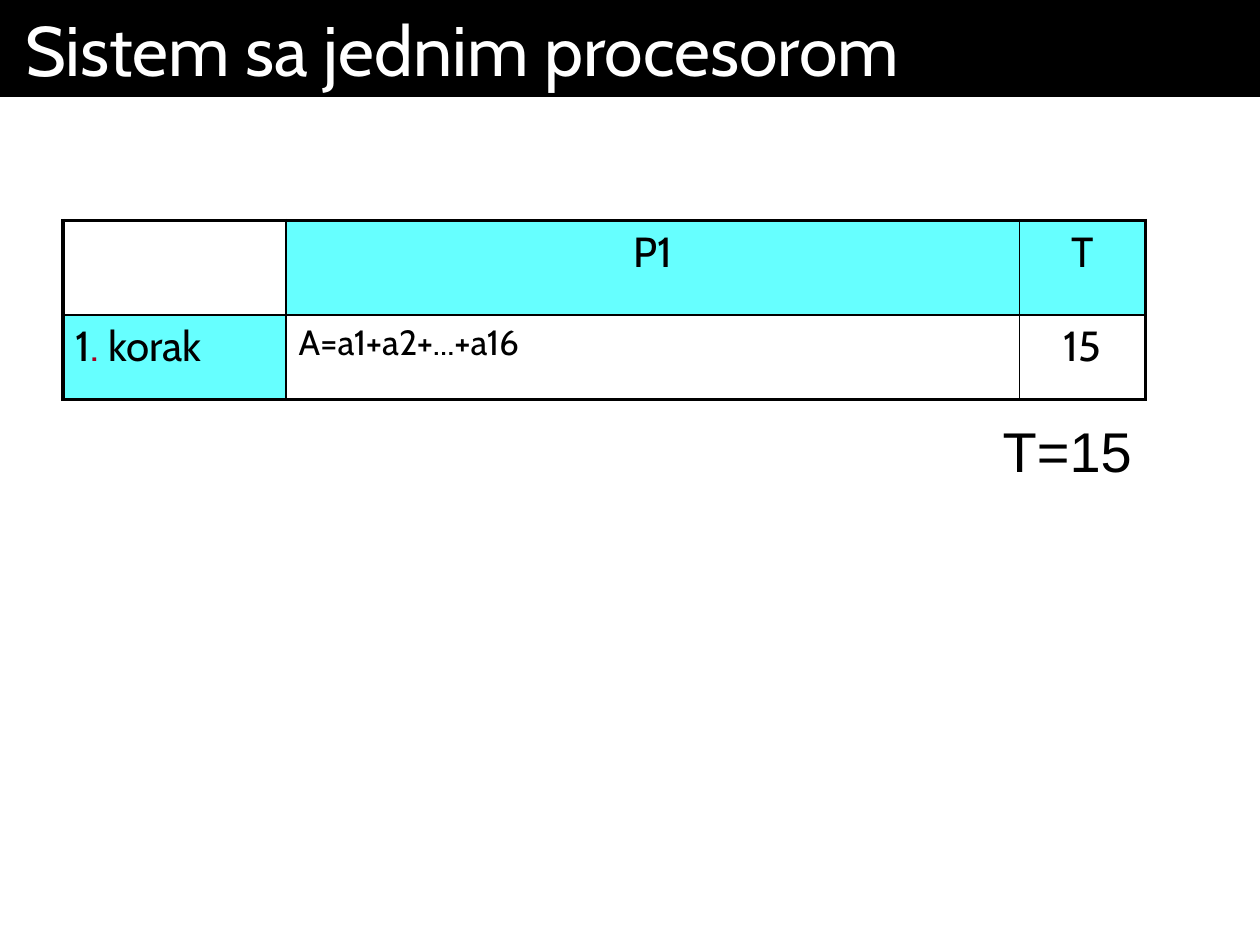
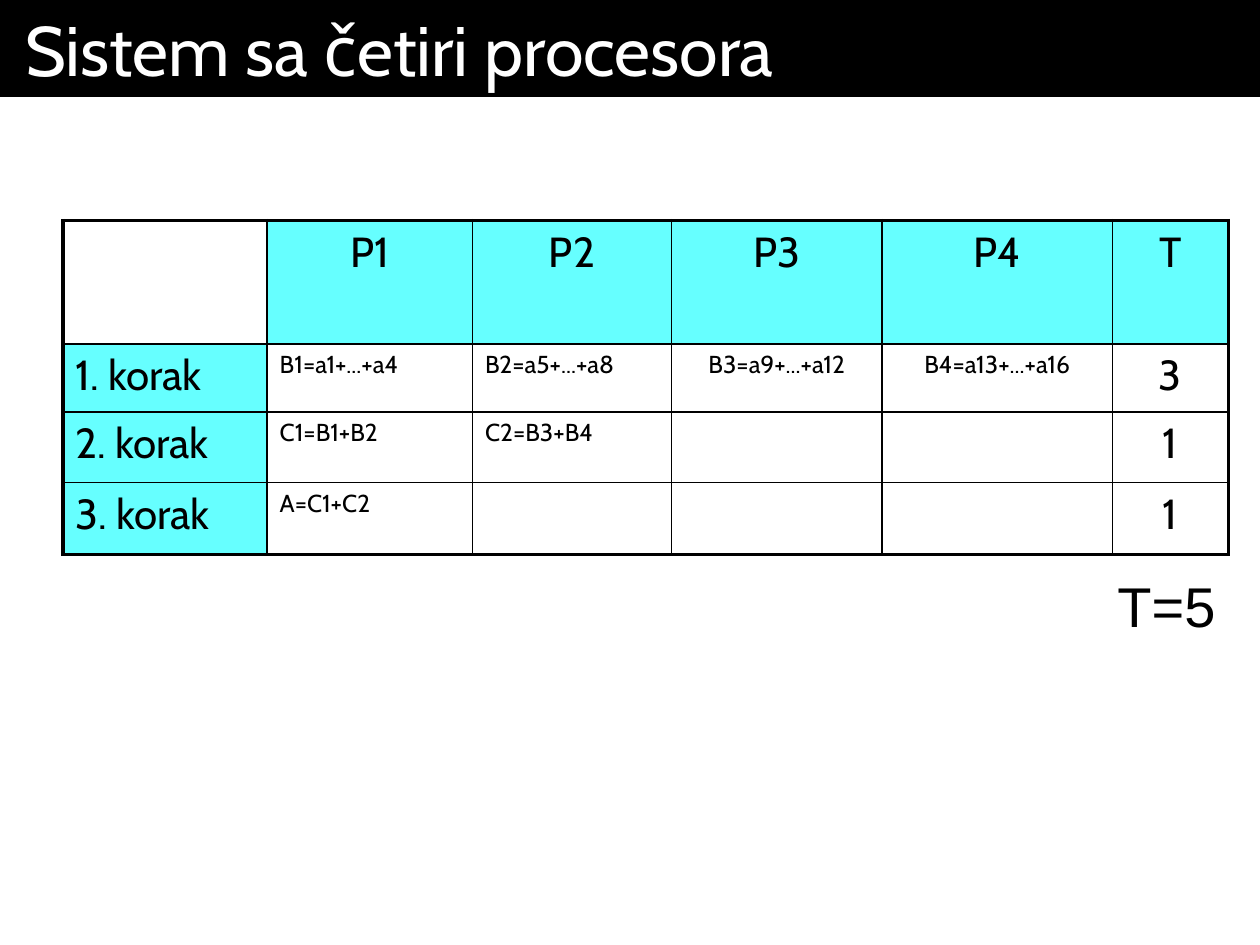
from lxml.etree import SubElement
from pptx import Presentation
from pptx.dml.color import RGBColor
from pptx.enum.text import MSO_ANCHOR, MSO_AUTO_SIZE, PP_ALIGN
from pptx.oxml.ns import qn
from pptx.util import Inches, Pt

UNIT = Inches(0.01)
WIDE, HIGH = 1000, 750
BLACK, WHITE, CYAN, RED = "000000", "FFFFFF", "66FFFF", "A50021"
TITLE = {"name": "Cabin", "size": Pt(40), "bold": False}
LABEL = {"name": "Cabin", "size": Pt(24), "bold": False}
TOTAL = {"name": "Arial", "size": Pt(32), "bold": False}
BAND = (0, 0, WIDE, 77)
LEFT, TOP = 50, 175
THICK, THIN = Pt(2.25), Pt(1)

SLIDES = [
    {
        "title": "Sistem sa jednim procesorom",
        "cols": [177, 582, 100],
        "rows": [75, 67],
        "mid": 2,
        "size": 20,
        "cells": [
            ["", "P1", "T"],
            [[("1", BLACK), (". ", RED), ("korak", BLACK)], "A=a1+a2+...+a16", "15"],
        ],
        "total": "T=15",
    },
    {
        "title": "Sistem sa četiri procesora",
        "cols": [162, 163, 158, 167, 183, 92],
        "rows": [98, 54, 56, 57],
        "mid": 3,
        "size": 14,
        "cells": [
            ["", "P1", "P2", "P3", "P4", "T"],
            ["1. korak", "B1=a1+...+a4", "B2=a5+...+a8", "B3=a9+...+a12", "B4=a13+...+a16", "3"],
            ["2. korak", "C1=B1+B2", "C2=B3+B4", "", "", "1"],
            ["3. korak", "A=C1+C2", "", "", "", "1"],
        ],
        "total": "T=5",
    },
]


def tint(code):
    """Turn a hex string into a colour."""
    return RGBColor.from_string(code)


def grid(box):
    """Turn a box in grid units into lengths."""
    return [UNIT * part for part in box]


def style(item, form):
    """Set each format value on an item."""
    for key, value in form.items():
        setattr(item, key, value)


def write(frame, runs, form, align=PP_ALIGN.LEFT):
    """Write coloured runs into the first paragraph of a frame."""
    para = frame.paragraphs[0]
    para.alignment = align
    for text, code in runs:
        run = para.add_run()
        run.text = text
        style(run.font, form)
        run.font.color.rgb = tint(code)


def edge(cell, sides):
    """Draw the borders of a cell, each with its own width."""
    props = cell._tc.get_or_add_tcPr()
    for name, width in sides.items():
        line = SubElement(props, qn(f"a:ln{name}"), w=str(width))
        fill = SubElement(line, qn("a:solidFill"))
        SubElement(fill, qn("a:srgbClr"), val=BLACK)


def add_title(slide, text, box):
    """Turn the title placeholder into a dark band."""
    band = slide.shapes.title
    style(band, dict(zip(("left", "top", "width", "height"), grid(box))))
    band.fill.solid()
    band.fill.fore_color.rgb = tint(BLACK)
    frame = band.text_frame
    style(frame, {
        "margin_left": Inches(0.2), "margin_right": Inches(0.2),
        "margin_top": Inches(0.05), "margin_bottom": Inches(0.05),
        "auto_size": MSO_AUTO_SIZE.NONE, "vertical_anchor": MSO_ANCHOR.TOP,
        "word_wrap": True,
    })
    write(frame, [(text, WHITE)], TITLE)


def add_steps(slide, data, box):
    """Add the table of steps and processors."""
    cols, rows = data["cols"], data["rows"]
    table = slide.shapes.add_table(len(rows), len(cols), *grid(box)).table
    style(table, {"first_row": False, "horz_banding": False})
    for col, width in zip(table.columns, grid(cols)):
        col.width = width
    for row, height in zip(table.rows, grid(rows)):
        row.height = height
    last, end = len(cols) - 1, len(rows) - 1
    for y, line in enumerate(data["cells"]):
        for x, text in enumerate(line):
            cell = table.cell(y, x)
            edge(cell, {
                "L": THIN if x else THICK,
                "R": THICK if x == last else THIN,
                "T": THIN if y else THICK,
                "B": THICK if y == end else THIN,
            })
            if (x == 0) != (y == 0):
                cell.fill.solid()
                cell.fill.fore_color.rgb = tint(CYAN)
            else:
                cell.fill.background()
            if not text:
                continue
            inner = y > 0 and 0 < x < last
            form = LABEL | ({"size": Pt(data["size"])} if inner else {})
            middle = y == 0 or x >= data["mid"]
            runs = [(text, BLACK)] if isinstance(text, str) else text
            write(cell.text_frame, runs, form, PP_ALIGN.CENTER if middle else PP_ALIGN.LEFT)


def add_total(slide, text, box):
    """Add the total time below the right end of a box."""
    left, top, width, height = box
    wide = 23 + 25 * len(text)
    spot = (left + width - wide, top + height + 9, wide, 63)
    frame = slide.shapes.add_textbox(*grid(spot)).text_frame
    frame.word_wrap = False
    write(frame, [(text, BLACK)], TOTAL)


def add_slide(deck, data):
    """Add one slide with its band, table and total."""
    slide = deck.slides.add_slide(deck.slide_layouts[5])
    box = (LEFT, TOP, sum(data["cols"]), sum(data["rows"]))
    add_title(slide, data["title"], BAND)
    add_steps(slide, data, box)
    add_total(slide, data["total"], box)


def main():
    """Build the deck and save it."""
    deck = Presentation()
    style(deck, {"slide_width": UNIT * WIDE, "slide_height": UNIT * HIGH})
    for data in SLIDES:
        add_slide(deck, data)
    deck.save("out.pptx")


if __name__ == "__main__":
    main()
